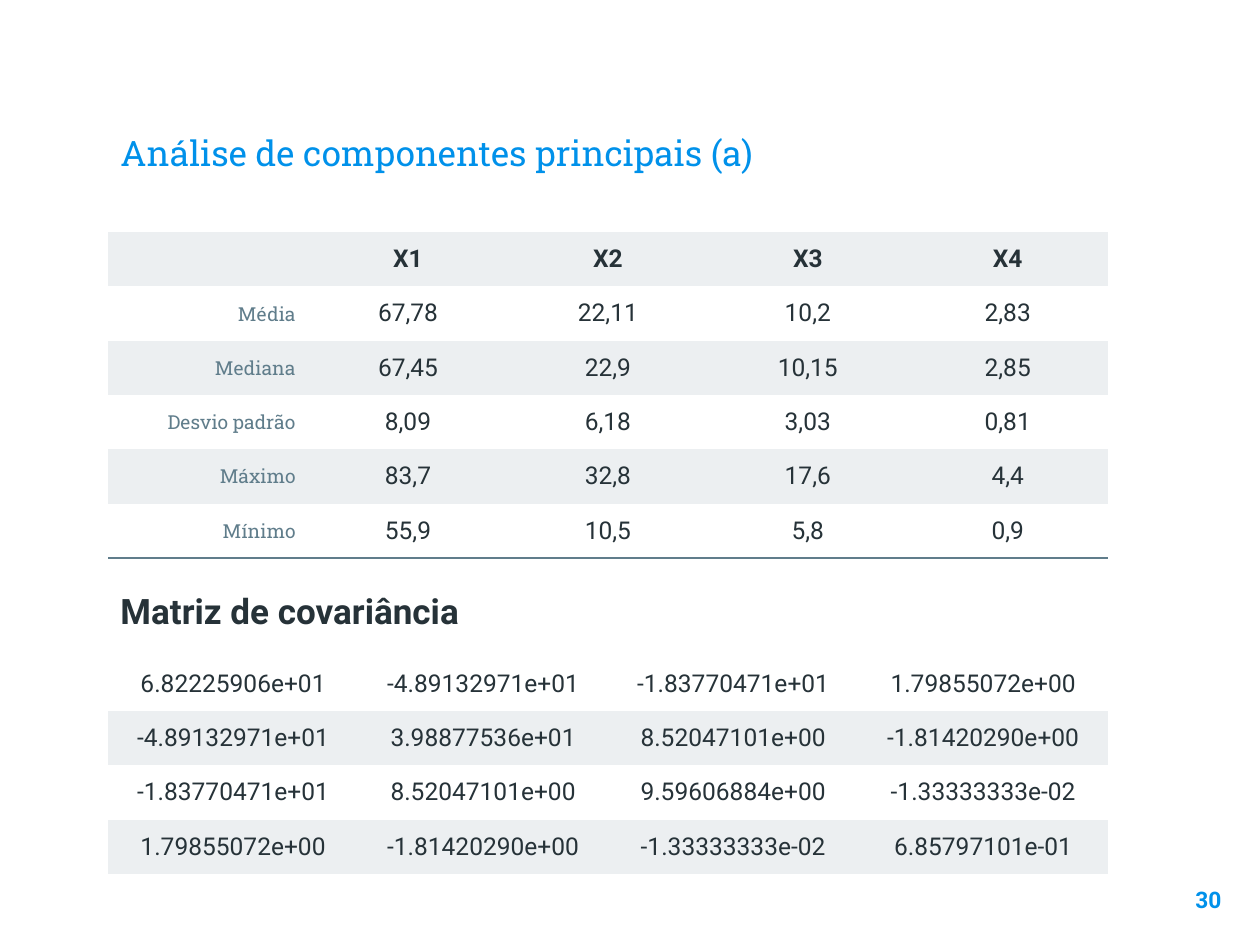
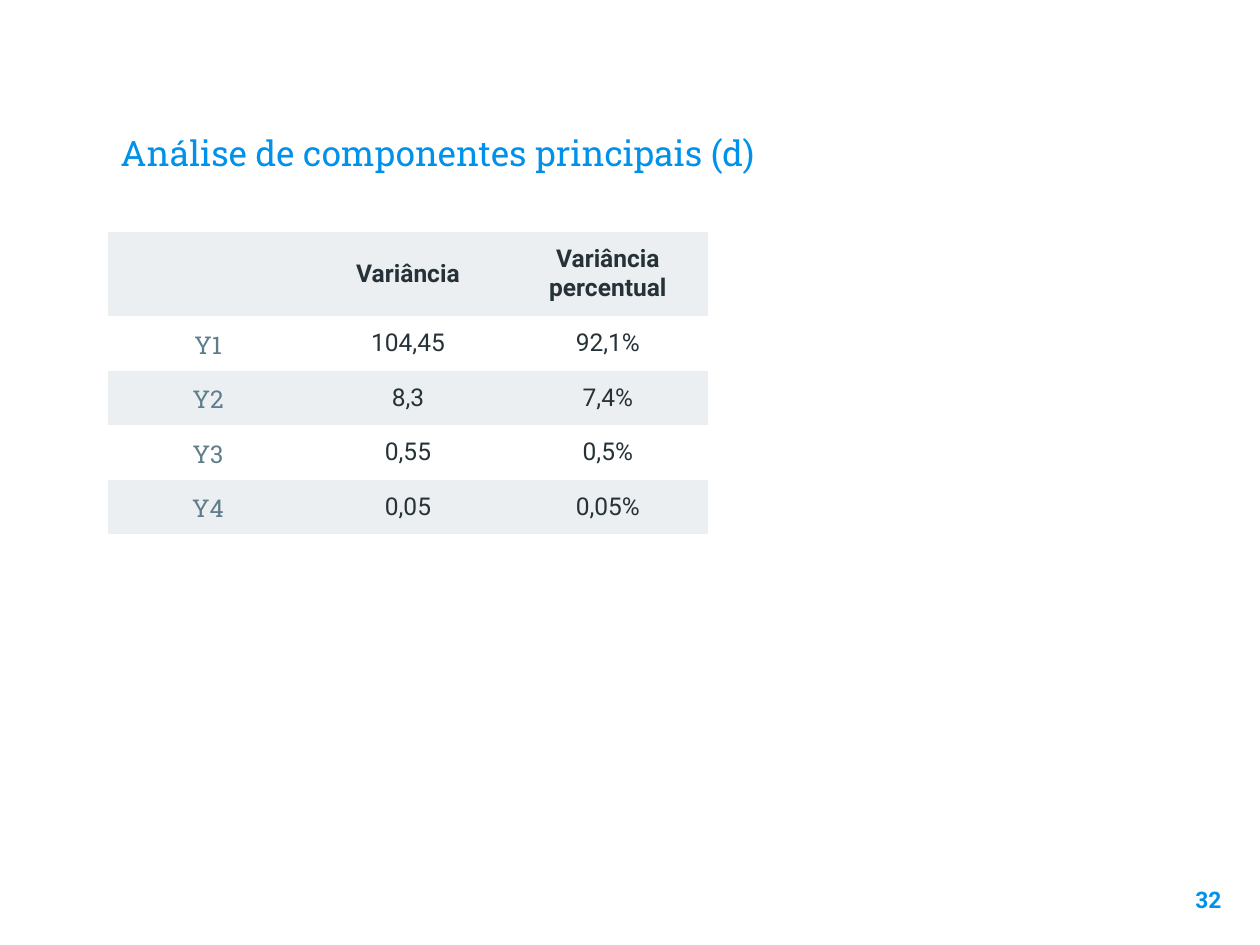
from lxml.etree import SubElement
from pptx import Presentation
from pptx.dml.color import RGBColor
from pptx.enum.text import MSO_ANCHOR, PP_ALIGN
from pptx.oxml.ns import qn
from pptx.util import Cm, Pt

BLUE, INK, SLATE, PALE, WHITE = "0091EA", "263238", "607D8B", "ECEFF1", "FFFFFF"
SANS, SLAB = "Roboto", "Roboto Slab"
LEFT, TOP, PAD = 2.18, 4.68, 0.25
COL, ROW = 4.03, 1.09
PLAIN = "{2D5ABB26-0587-4C30-8999-92F81FD0307C}"


def color(code):
    return RGBColor.from_string(code)


class Deck:
    def __init__(self):
        self.prs = Presentation()
        self.prs.slide_width, self.prs.slide_height = Cm(25.4), Cm(19.05)
        self.slide = None

    def page(self, title, number):
        self.slide = self.prs.slides.add_slide(self.prs.slide_layouts[6])
        self.text(title, (LEFT, 1.14, 21.04, 2.6), 20, SLAB, BLUE,
                  anchor=MSO_ANCHOR.BOTTOM)
        self.text(number, (23.35, 17.6, 1.52, 1.45), 13, SANS, BLUE, True,
                  PP_ALIGN.RIGHT)

    def style(self, para, size, face, hue, bold=False, align=PP_ALIGN.LEFT):
        para.alignment = align
        font = para.font
        font.size, font.name, font.bold = Pt(size), face, bold
        font.color.rgb = color(hue)

    def text(self, words, box, size, face, hue, bold=False,
             align=PP_ALIGN.LEFT, anchor=MSO_ANCHOR.TOP, before=0):
        frame = self.slide.shapes.add_textbox(*map(Cm, box)).text_frame
        frame.word_wrap, frame.vertical_anchor = True, anchor
        frame.margin_left = frame.margin_right = Cm(PAD)
        frame.margin_top = frame.margin_bottom = Cm(PAD)
        para = frame.paragraphs[0]
        para.text, para.space_before = words, Pt(before)
        self.style(para, size, face, hue, bold, align)

    def table(self, rows, top, width, shade, high=ROW, head=None, label=None):
        count = len(rows[0])
        shape = self.slide.shapes.add_table(
            len(rows), count, Cm(LEFT), Cm(top), Cm(width * count),
            Cm(high * len(rows)))
        for mark in shape.element.iter(qn("a:tableStyleId")):
            mark.text = PLAIN
        grid = shape.table
        grid.first_row = grid.horz_banding = False
        for col in grid.columns:
            col.width = Cm(width)
        for y, row in enumerate(rows):
            grid.rows[y].height = Cm(head if head and y == 0 else high)
            for x, words in enumerate(row):
                cell = grid.cell(y, x)
                cell.fill.solid()
                cell.fill.fore_color.rgb = color(PALE if y % 2 == shade else WHITE)
                cell.vertical_anchor = MSO_ANCHOR.MIDDLE
                cell.margin_left = cell.margin_right = Cm(PAD)
                cell.margin_top = cell.margin_bottom = Cm(PAD if words else 0)
                para = cell.text_frame.paragraphs[0]
                para.text = words
                if label and x == 0:
                    size, align = label
                    self.style(para, size, SLAB, SLATE, align=align)
                else:
                    self.style(para, 14, SANS, INK, bool(head) and y == 0,
                               PP_ALIGN.CENTER)
        return grid

    def rule(self, grid):
        for cell in grid.rows[len(grid.rows) - 1].cells:
            props = cell._tc.get_or_add_tcPr()
            line = SubElement(props, qn("a:lnB"), w=str(Pt(1.5)))
            fill = SubElement(line, qn("a:solidFill"))
            SubElement(fill, qn("a:srgbClr"), val=SLATE)
            props.insert(0, line)


def main():
    deck = Deck()
    deck.page("Análise de componentes principais (a)", "30")
    stats = deck.table([
        ["", "X1", "X2", "X3", "X4"],
        ["Média", "67,78", "22,11", "10,2", "2,83"],
        ["Mediana", "67,45", "22,9", "10,15", "2,85"],
        ["Desvio padrão", "8,09", "6,18", "3,03", "0,81"],
        ["Máximo", "83,7", "32,8", "17,6", "4,4"],
        ["Mínimo", "55,9", "10,5", "5,8", "0,9"],
    ], TOP, COL, 0, head=ROW, label=(11, PP_ALIGN.RIGHT))
    deck.rule(stats)
    deck.text("Matriz de covariância", (LEFT, 11.63, 8.61, 1.12), 20, SANS, INK,
              True, before=6)
    deck.table([
        ["6.82225906e+01", "-4.89132971e+01", "-1.83770471e+01", "1.79855072e+00"],
        ["-4.89132971e+01", "3.98877536e+01", "8.52047101e+00", "-1.81420290e+00"],
        ["-1.83770471e+01", "8.52047101e+00", "9.59606884e+00", "-1.33333333e-02"],
        ["1.79855072e+00", "-1.81420290e+00", "-1.33333333e-02", "6.85797101e-01"],
    ], 13.24, 5.04, 1)

    deck.page("Análise de componentes principais (d)", "32")
    deck.table([
        ["", "Variância", "Variância percentual"],
        ["Y1", "104,45", "92,1%"],
        ["Y2", "8,3", "7,4%"],
        ["Y3", "0,55", "0,5%"],
        ["Y4", "0,05", "0,05%"],
    ], TOP, COL, 0, high=1.1, head=1.69, label=(14, PP_ALIGN.CENTER))
    deck.prs.save("out.pptx")


if __name__ == "__main__":
    main()
